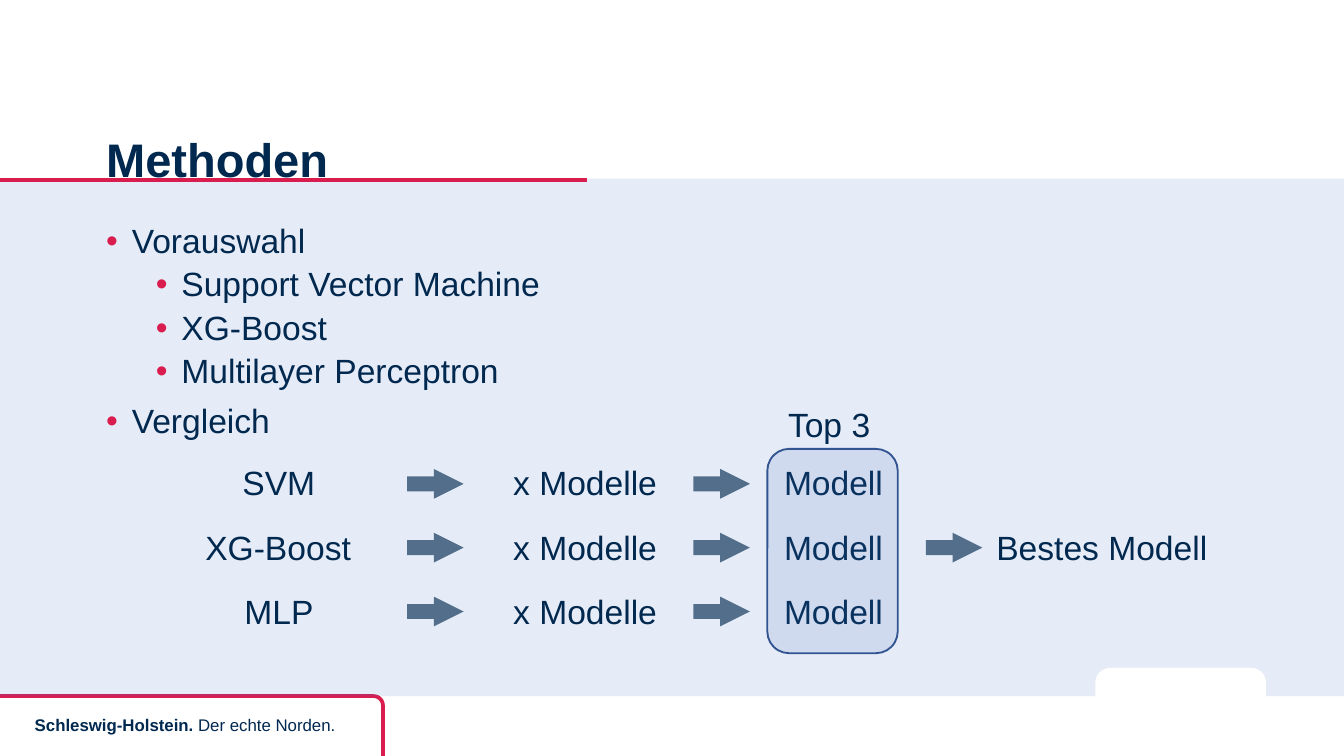
import math
from lxml import etree
from pptx import Presentation
from pptx.dml.color import RGBColor
from pptx.enum import shapes, text
from pptx.oxml import ns
from pptx.util import Inches, Pt

COLORS = {"navy": "01284F", "red": "D91E4F", "blue": "4472C4", "outline": "325491", "white": "FFFFFF"}
TITLE = "Methoden"
BULLETS = [
    (0, "Vorauswahl"),
    (1, "Support Vector Machine"),
    (1, "XG-Boost"),
    (1, "Multilayer Perceptron"),
    (0, "Vergleich"),
]
LEVELS = {0: (0.19, 7.5), 1: (0.56, 3.8)}
METHODS = [("SVM", 0.75), ("XG-Boost", 1.3), ("MLP", 0.72)]
RESULTS = [("x Modelle", 4.36, 1.28), ("Modell", 6.21, 0.95)]
SINGLES = [("Top 3", 6.19, 2.96, 0.85), ("Bestes Modell", 8.21, 3.87, 1.79)]
SLOGAN = [("Schleswig-Holstein. ", True), ("Der echte Norden.", False)]
METHOD_CENTER, ROW_TOP, ROW_STEP = 2.08, 3.39, 0.48
ARROW_TOP, ARROW_BOTTOM, ARROW_LENGTH = 3.6, 4.55, 0.42
ARROW_STEP = (ARROW_BOTTOM - ARROW_TOP) / (len(METHODS) - 1)
ARROW_COLUMNS = [3.03, 5.16]

deck = Presentation()
deck.slide_width, deck.slide_height = Inches(10), Inches(10 * 9 / 16)
page = deck.slides.add_slide(deck.slide_layouts[1])


def rgb(name):
    return RGBColor.from_string(COLORS[name])


def add_node(parent, tag, **attributes):
    return etree.SubElement(parent, ns.qn(tag), attributes)


def set_alpha(fill, percent):
    color = fill._xPr.find(ns.qn("a:solidFill"))[0]
    add_node(color, "a:alpha", val=str(percent * 1000))


def place(item, left, top, width, height):
    item.left, item.top = Inches(left), Inches(top)
    item.width, item.height = Inches(width), Inches(height)


def add_span(para, words, size, bold=False):
    span = para.add_run()
    span.text = words
    span.font.name, span.font.size, span.font.bold = "Arial", Pt(size), bold
    span.font.color.rgb = rgb("navy")


def add_panel(kind, left, top, width, height, color, alpha=100, outline=None):
    panel = page.shapes.add_shape(kind, Inches(left), Inches(top), Inches(width), Inches(height))
    panel.shadow.inherit = False
    panel.fill.solid()
    panel.fill.fore_color.rgb = rgb(color)
    if alpha < 100:
        set_alpha(panel.fill, alpha)
    if outline:
        panel.line.color.rgb = rgb(outline)
        panel.line.width = Pt(1)
    else:
        panel.line.fill.background()


def add_line(left, top, length, color, width):
    line = page.shapes.add_connector(
        shapes.MSO_CONNECTOR.STRAIGHT, Inches(left), Inches(top), Inches(left + length), Inches(top))
    line.line.color.rgb = rgb(color)
    line.line.width = Pt(width)
    add_node(line.element.spPr, "a:effectLst")
    return line


def add_arrow(left, top):
    arrow = add_line(left, top, ARROW_LENGTH, "navy", 8)
    set_alpha(arrow.line.fill, 64)
    add_node(arrow.line.fill._xPr, "a:tailEnd", type="triangle", w="sm", len="sm")


def add_label(words, center, top, width):
    box = page.shapes.add_textbox(Inches(center - width / 2), Inches(top), Inches(width), Inches(0.4))
    box.text_frame.word_wrap = False
    box.text_frame.auto_size = text.MSO_AUTO_SIZE.SHAPE_TO_FIT_TEXT
    add_span(box.text_frame.paragraphs[0], words, 18)


def add_footer_frame():
    right, top, radius = 2.85, 5.18, 0.07
    angles = [math.radians(90 - step * 15) for step in range(7)]
    corner = [(right - radius + radius * math.cos(a), top + radius - radius * math.sin(a)) for a in angles]
    points = [(Inches(x), Inches(y)) for x, y in corner + [(right, 5.84)]]
    builder = page.shapes.build_freeform(Inches(-0.01), Inches(top))
    builder.add_line_segments(points, close=False)
    frame = builder.convert_to_shape()
    frame.shadow.inherit = False
    frame.fill.background()
    frame.line.color.rgb = rgb("red")
    frame.line.width = Pt(2)


def fill_title():
    title = page.shapes.title
    place(title, 0.69, 0.99, 8.62, 0.43)
    title.text_frame.auto_size = text.MSO_AUTO_SIZE.NONE
    title.text_frame.vertical_anchor = text.MSO_ANCHOR.MIDDLE
    para = title.text_frame.paragraphs[0]
    para.alignment = text.PP_ALIGN.LEFT
    para.line_spacing = 0.9
    add_span(para, TITLE, 25.2, True)
    page.shapes.element.append(title.element)


def fill_body():
    body = page.placeholders[1]
    place(body, 0.69, 1.62, 8.62, 3.45)
    frame = body.text_frame
    frame.auto_size = text.MSO_AUTO_SIZE.NONE
    for index, (level, words) in enumerate(BULLETS):
        para = frame.add_paragraph() if index else frame.paragraphs[0]
        indent, before = LEVELS[level]
        para.level, para.line_spacing, para.space_before = level, 0.9, Pt(before)
        add_span(para, words, 18)
        properties = para._p.get_or_add_pPr()
        properties.set("marL", str(Inches(indent)))
        properties.set("indent", str(Inches(-0.19)))
        add_node(add_node(properties, "a:buClr"), "a:srgbClr", val=COLORS["red"])
        add_node(properties, "a:buFont", typeface="Arial")
        add_node(properties, "a:buChar", char="•")
    page.shapes.element.append(body.element)


def add_slogan():
    box = page.shapes.add_textbox(Inches(0.16), Inches(5.3), Inches(2.48), Inches(0.32))
    box.text_frame.word_wrap = True
    box.text_frame.margin_top = Inches(0.02)
    for words, bold in SLOGAN:
        add_span(box.text_frame.paragraphs[0], words, 9, bold)


add_footer_frame()
add_panel(shapes.MSO_SHAPE.RECTANGLE, 0, 1.33, 10, 3.85, "blue", 13)
add_line(0, 1.34, 4.37, "red", 2)
add_panel(shapes.MSO_SHAPE.ROUND_2_SAME_RECTANGLE, 8.15, 4.97, 1.27, 0.65, "white")
fill_title()
fill_body()
add_slogan()

for row, (method, width) in enumerate(METHODS):
    top = ROW_TOP + row * ROW_STEP
    add_label(method, METHOD_CENTER, top, width)
    for words, center, result_width in RESULTS:
        add_label(words, center, top, result_width)
    for left in ARROW_COLUMNS:
        add_arrow(left, ARROW_TOP + row * ARROW_STEP)

add_panel(shapes.MSO_SHAPE.ROUNDED_RECTANGLE, 5.71, 3.34, 0.97, 1.52, "blue", 14, "outline")
for single in SINGLES:
    add_label(*single)
add_arrow(6.89, ARROW_TOP + ARROW_STEP)

deck.save("out.pptx")
